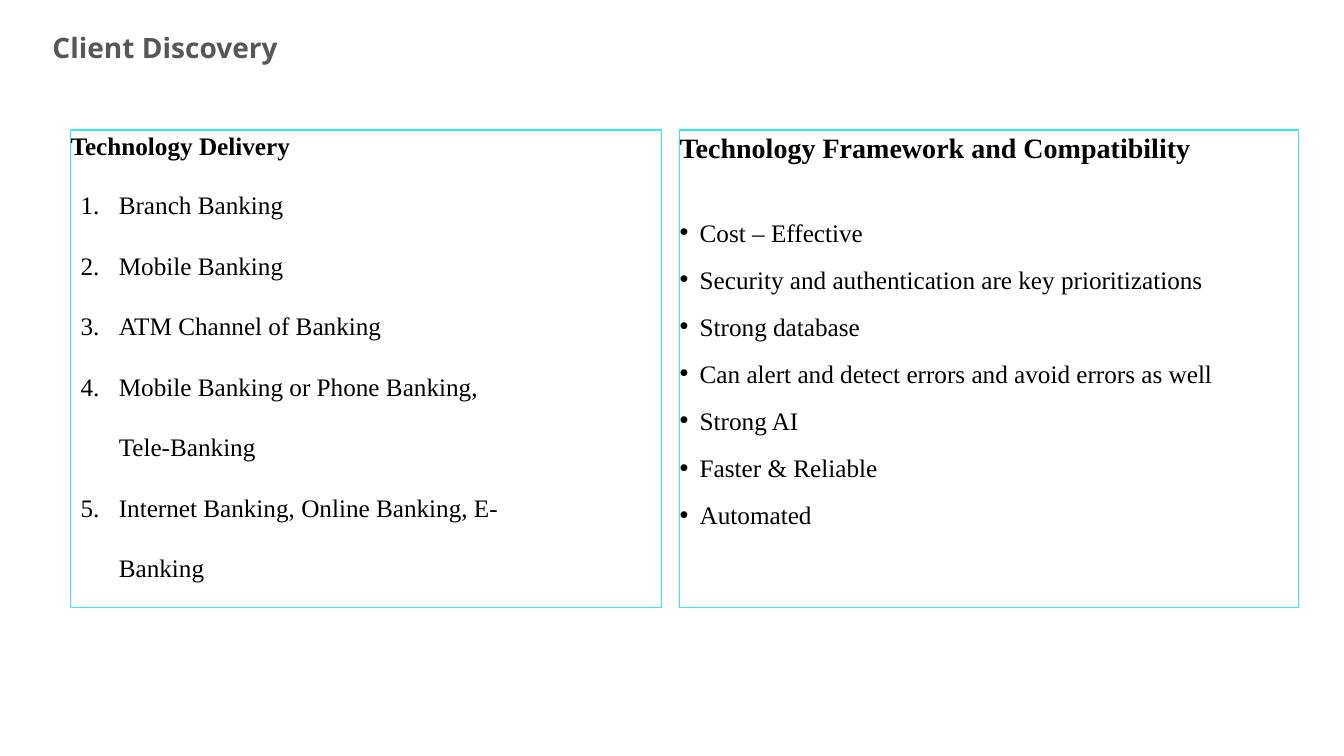
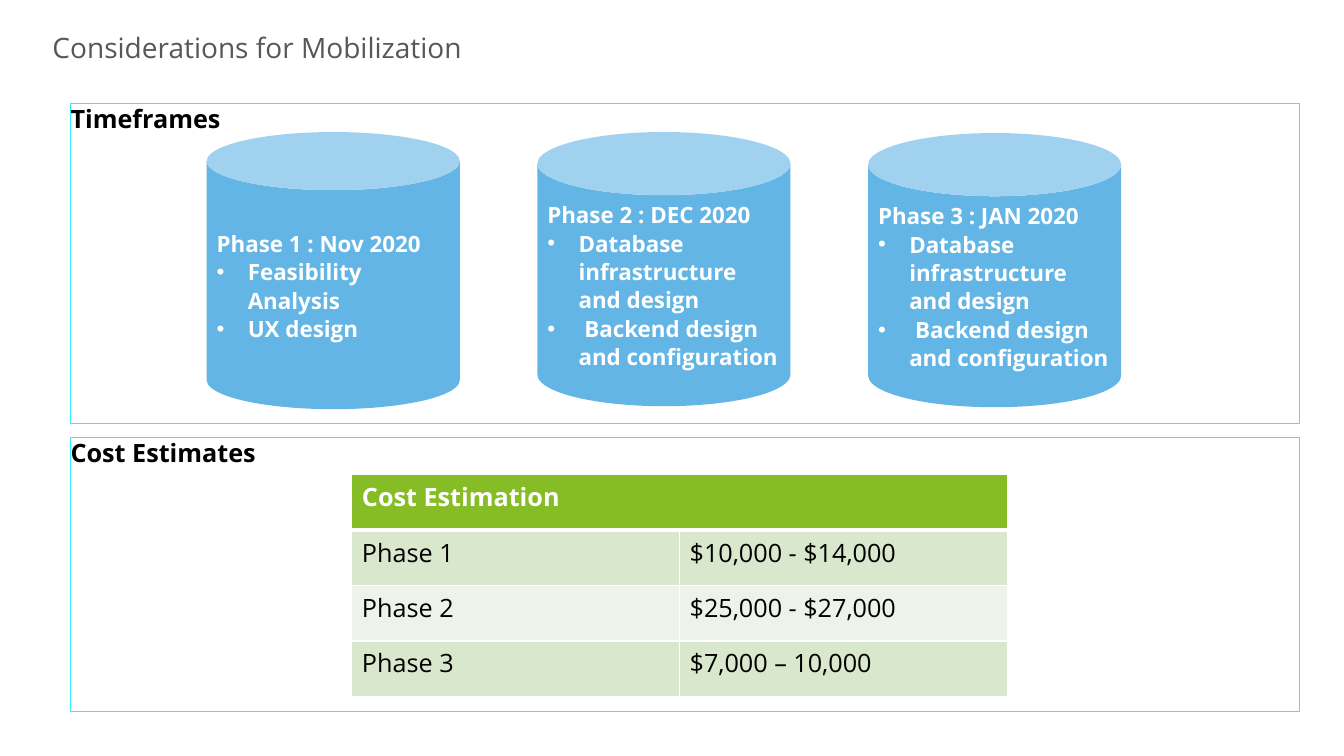
from pptx import Presentation
from pptx.dml.color import RGBColor
from pptx.enum import shapes, text
from pptx.oxml import ns
from pptx.util import Inches, Pt
from lxml import etree

SANS, SERIF = "Open Sans", "Times New Roman"
BLACK = RGBColor(0x00, 0x00, 0x00)
WHITE = RGBColor(0xFF, 0xFF, 0xFF)
GREY = RGBColor(0x57, 0x57, 0x57)
CYAN = RGBColor(0x32, 0xE9, 0xFF)
BLUE = RGBColor(0x62, 0xB5, 0xE5)
GREEN = RGBColor(0x86, 0xBC, 0x25)
BANDS = (RGBColor(0xD9, 0xE7, 0xCD), RGBColor(0xED, 0xF3, 0xE8))

CHANNELS = [
    "Branch Banking",
    "Mobile Banking",
    "ATM Channel of Banking",
    "Mobile Banking or Phone Banking, Tele-Banking",
    "Internet Banking, Online Banking, E-Banking",
]
FRAMEWORK = [
    "Cost – Effective",
    "Security and authentication are key prioritizations",
    "Strong database",
    "Can alert and detect errors and avoid errors as well",
    "Strong AI",
    "Faster & Reliable",
    "Automated",
]
BUILD_TASKS = ["Database infrastructure and design", " Backend design and configuration"]
# heading, tasks, top, height, depth of the cylinder's lid
PHASES = [
    ("Phase 1 : Nov 2020", ["Feasibility Analysis", "UX design"], 1.31, 2.75, 0.23),
    ("Phase 2 : DEC 2020", BUILD_TASKS, 1.31, 2.72, 0.25),
    ("Phase 3 : JAN 2020", BUILD_TASKS, 1.32, 2.72, 0.25),
]
COST_HEADER = "Cost Estimation"
COSTS = [
    ("Phase 1", "$10,000 - $14,000"),
    ("Phase 2", "$25,000 - $27,000"),
    ("Phase 3", "$7,000 – 10,000"),
]


def add_text(tf, lines, size=18, font=SANS, color=BLACK, bold=False, before=0, after=0,
             spacing=None, bullet=None, indent=0):
    """Append paragraphs; bullet is a character, or "1." for automatic numbers."""
    for line in lines:
        p = tf.paragraphs[0] if not tf.text else tf.add_paragraph()
        p.alignment = text.PP_ALIGN.LEFT
        p.space_before, p.space_after = Pt(before), Pt(after)
        if spacing:
            p.line_spacing = spacing
        r = p.add_run()
        r.text = line
        r.font.name, r.font.size, r.font.bold = font, Pt(size), bold
        r.font.color.rgb = color
        if bullet:
            pPr = p._p.get_or_add_pPr()
            pPr.set("marL", str(Inches(indent)))
            pPr.set("indent", str(-Inches(indent)))
            if bullet == "1.":
                etree.SubElement(pPr, ns.qn("a:buAutoNum"), type="arabicPeriod")
            else:
                etree.SubElement(pPr, ns.qn("a:buFont"), typeface="Arial")
                etree.SubElement(pPr, ns.qn("a:buChar"), char=bullet)


def set_frame(tf, inset, anchor=text.MSO_ANCHOR.TOP):
    tf.word_wrap = True
    tf.vertical_anchor = anchor
    tf.margin_left = tf.margin_right = tf.margin_top = tf.margin_bottom = Inches(inset)


def add_slide(prs, title, bold=False):
    slide = prs.slides.add_slide(prs.slide_layouts[5])
    sp = slide.shapes.title
    sp.left, sp.top, sp.width, sp.height = map(Inches, (0.52, 0.3, 10.02, 0.41))
    set_frame(sp.text_frame, 0)
    sp.text_frame.auto_size = text.MSO_AUTO_SIZE.NONE
    add_text(sp.text_frame, [title], size=20, color=GREY, bold=bold)
    return slide


def add_panel(slide, heading, left, top, width, height, **style):
    sp = slide.shapes.add_shape(shapes.MSO_SHAPE.RECTANGLE,
                                *map(Inches, (left, top, width, height)))
    sp.shadow.inherit = False
    sp.fill.background()
    sp.line.color.rgb, sp.line.width = CYAN, Pt(0.75)
    set_frame(sp.text_frame, 0)
    add_text(sp.text_frame, [heading], bold=True, before=6, after=6, **style)
    return sp.text_frame


def add_phase(slide, left, heading, tasks, top, height, lid):
    sp = slide.shapes.add_shape(shapes.MSO_SHAPE.CAN,
                                *map(Inches, (left, top, 2.51, height)))
    sp.adjustments[0] = lid
    sp.shadow.inherit = False
    sp.fill.solid()
    sp.fill.fore_color.rgb = BLUE
    sp.line.fill.background()
    set_frame(sp.text_frame, 0.1, text.MSO_ANCHOR.MIDDLE)
    style = dict(size=16, color=WHITE, bold=True, spacing=1.06)
    add_text(sp.text_frame, [heading], **style)
    add_text(sp.text_frame, tasks, bullet="•", indent=0.31, **style)


def format_cell(cell, fill, widths):
    """Fill a cell and give it white borders; widths maps L, R, T, B to points."""
    tcPr = cell._tc.get_or_add_tcPr()
    for side, width in widths.items():
        ln = etree.SubElement(tcPr, ns.qn(f"a:ln{side}"), w=str(Pt(width)))
        solid = etree.SubElement(ln, ns.qn("a:solidFill"))
        etree.SubElement(solid, ns.qn("a:srgbClr"), val=str(WHITE))
    cell.fill.solid()
    cell.fill.fore_color.rgb = fill


def add_cost_table(slide):
    rows = [(COST_HEADER, "")] + COSTS
    table = slide.shapes.add_table(len(rows), 2, *map(Inches, (3.49, 4.71, 6.5, 2.2))).table
    for i, row in enumerate(rows):
        header = i == 0
        table.rows[i].height = Inches(0.55)
        fill = GREEN if header else BANDS[(i - 1) % 2]
        widths = dict(L=1, R=1, T=3 if i == 1 else 1, B=3 if header else 1)
        for j, value in enumerate(row):
            cell = table.cell(i, j)
            format_cell(cell, fill, widths)
            if value:
                add_text(cell.text_frame, [value], color=WHITE if header else BLACK, bold=header)
    table.cell(0, 0).merge(table.cell(0, 1))


def build_discovery(prs):
    slide = add_slide(prs, "Client Discovery", bold=True)
    add_panel(slide, "Technology Delivery", 0.7, 1.29, 5.86, 4.74, font=SERIF)
    tf = add_panel(slide, "Technology Framework and Compatibility",
                   6.74, 1.29, 6.14, 4.74, font=SERIF, size=20)
    style = dict(font=SERIF, after=6, bullet="•", indent=0.2)
    add_text(tf, FRAMEWORK[:1], before=32, **style)
    add_text(tf, FRAMEWORK[1:], before=6, **style)
    box = slide.shapes.add_textbox(*map(Inches, (0.7, 1.53, 4.41, 4.25)))
    box.text_frame.word_wrap = True
    add_text(box.text_frame, CHANNELS, font=SERIF, spacing=2.0, bullet="1.", indent=0.38)


def build_mobilization(prs):
    slide = add_slide(prs, "Considerations for Mobilization")
    add_panel(slide, "Timeframes", 0.7, 1.03, 12.19, 3.17)
    add_panel(slide, "Cost Estimates", 0.7, 4.34, 12.19, 2.72)
    for i, phase in enumerate(PHASES):
        add_phase(slide, 2.05 + 3.28 * i, *phase)
    add_cost_table(slide)


def main():
    prs = Presentation()
    prs.slide_width, prs.slide_height = Inches(13.33), Inches(7.5)
    build_discovery(prs)
    build_mobilization(prs)
    prs.save("out.pptx")


if __name__ == "__main__":
    main()
